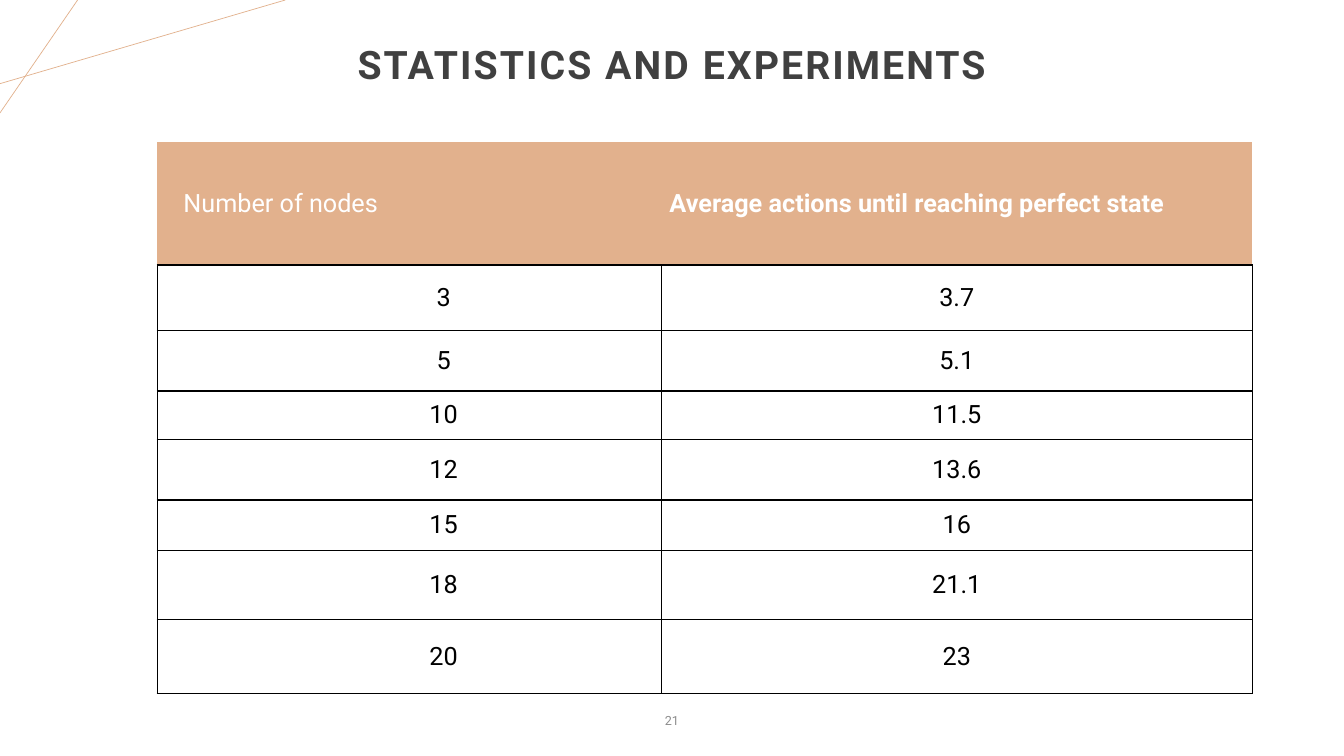
from dataclasses import dataclass

from lxml.etree import SubElement
from pptx import Presentation
from pptx.dml.color import RGBColor
from pptx.enum.shapes import MSO_CONNECTOR
from pptx.enum.text import MSO_ANCHOR, PP_ALIGN
from pptx.oxml.ns import qn
from pptx.util import Inches, Pt

# Content
TITLE = "STATISTICS AND EXPERIMENTS"
PAGE_NUMBER = "21"
HEADERS = ("Number of nodes", "Average actions until reaching perfect state")
RESULTS = [
    ("3", "3.7"),
    ("5", "5.1"),
    ("10", "11.5"),
    ("12", "13.6"),
    ("15", "16"),
    ("18", "21.1"),
    ("20", "23"),
]

# Layout in inches
SLIDE_WIDTH, SLIDE_HEIGHT = 13.33, 7.5
TITLE_WIDTH, TITLE_TOP, TITLE_HEIGHT = 11.5, 0.4, 1
NUMBER_WIDTH, NUMBER_TOP, NUMBER_HEIGHT = 4.5, 6.95, 0.4
TABLE_LEFT, TABLE_TOP = 1.56, 1.41
COLUMN_WIDTHS = (5, 5.86)
ROW_HEIGHTS = (1.22, 0.65, 0.6, 0.48, 0.6, 0.5, 0.69, 0.73)
LEFT_MARGINS = (0.26, 0.08)
NODE_INDENT = 0.5
CORNER_LINES = [((0, 0.83), (2.83, 0)), ((0.77, 0), (0, 1.12))]


@dataclass(frozen=True)
class Theme:
    font: str = "Roboto"
    accent: str = "E2B18D"
    title: str = "404040"
    number: str = "8C8C8C"
    header: str = "FFFFFF"
    body: str = "000000"
    title_size: int = 28
    table_size: int = 18
    number_size: int = 9


THEME = Theme()


def add_run(paragraph, text, size, color, bold=False):
    run = paragraph.add_run()
    run.text = text
    run.font.name = THEME.font
    run.font.size = Pt(size)
    run.font.bold = bold
    run.font.color.rgb = RGBColor.from_string(color)
    return run


def add_centred_text(slide, text, width, top, height, size, color, anchor, bold=False):
    left = (SLIDE_WIDTH - width) / 2
    box = slide.shapes.add_textbox(Inches(left), Inches(top), Inches(width), Inches(height))
    frame = box.text_frame
    frame.word_wrap = True
    frame.vertical_anchor = anchor
    paragraph = frame.paragraphs[0]
    paragraph.alignment = PP_ALIGN.CENTER
    return paragraph, add_run(paragraph, text, size, color, bold)


def set_borders(cell, visible):
    properties = cell._tc.get_or_add_tcPr()
    for position, side in enumerate("LRTB"):
        line = properties.makeelement(qn(f"a:ln{side}"), {"w": str(Pt(1))})
        if side in visible:
            fill = SubElement(line, qn("a:solidFill"))
            SubElement(fill, qn("a:srgbClr"), val=THEME.body)
        else:
            SubElement(line, qn("a:noFill"))
        properties.insert(position, line)


def fill_cell(cell, text, row, column):
    is_header = row == 0
    cell.vertical_anchor = MSO_ANCHOR.MIDDLE
    cell.margin_left, cell.margin_right = Inches(LEFT_MARGINS[column]), Inches(0.08)
    cell.margin_top = cell.margin_bottom = Inches(0.04)
    paragraph = cell.text_frame.paragraphs[0]
    if is_header:
        cell.fill.solid()
        cell.fill.fore_color.rgb = RGBColor.from_string(THEME.accent)
    else:
        cell.fill.background()
        paragraph.alignment = PP_ALIGN.CENTER
        if column == 0:
            paragraph._p.get_or_add_pPr().set("marL", str(Inches(NODE_INDENT)))
    color = THEME.header if is_header else THEME.body
    add_run(paragraph, text, THEME.table_size, color, bold=is_header and column == 1)
    set_borders(cell, "B" if is_header else "LRTB")


def add_results_table(slide):
    rows = [HEADERS, *RESULTS]
    frame = slide.shapes.add_table(
        len(rows), len(HEADERS), Inches(TABLE_LEFT), Inches(TABLE_TOP),
        Inches(sum(COLUMN_WIDTHS)), Inches(sum(ROW_HEIGHTS)))
    table = frame.table
    table.horz_banding = False
    for column, width in zip(table.columns, COLUMN_WIDTHS):
        column.width = Inches(width)
    for row, height in zip(table.rows, ROW_HEIGHTS):
        row.height = Inches(height)
    for row, texts in enumerate(rows):
        for column, text in enumerate(texts):
            fill_cell(table.cell(row, column), text, row, column)


def main():
    presentation = Presentation()
    presentation.slide_width = Inches(SLIDE_WIDTH)
    presentation.slide_height = Inches(SLIDE_HEIGHT)
    slide = presentation.slides.add_slide(presentation.slide_layouts[6])

    # Corner decoration
    for start, end in CORNER_LINES:
        points = [Inches(value) for value in (*start, *end)]
        connector = slide.shapes.add_connector(MSO_CONNECTOR.STRAIGHT, *points)
        connector.line.color.rgb = RGBColor.from_string(THEME.accent)
        connector.line.width = Pt(0.5)
        SubElement(connector._element.spPr, qn("a:effectLst"))

    # Title and page number
    paragraph, run = add_centred_text(
        slide, TITLE, TITLE_WIDTH, TITLE_TOP, TITLE_HEIGHT,
        THEME.title_size, THEME.title, MSO_ANCHOR.TOP, bold=True)
    paragraph.line_spacing = 0.9
    run._r.get_or_add_rPr().set("spc", "150")
    add_centred_text(
        slide, PAGE_NUMBER, NUMBER_WIDTH, NUMBER_TOP, NUMBER_HEIGHT,
        THEME.number_size, THEME.number, MSO_ANCHOR.MIDDLE)

    # Results
    add_results_table(slide)
    presentation.save("out.pptx")


if __name__ == "__main__":
    main()
